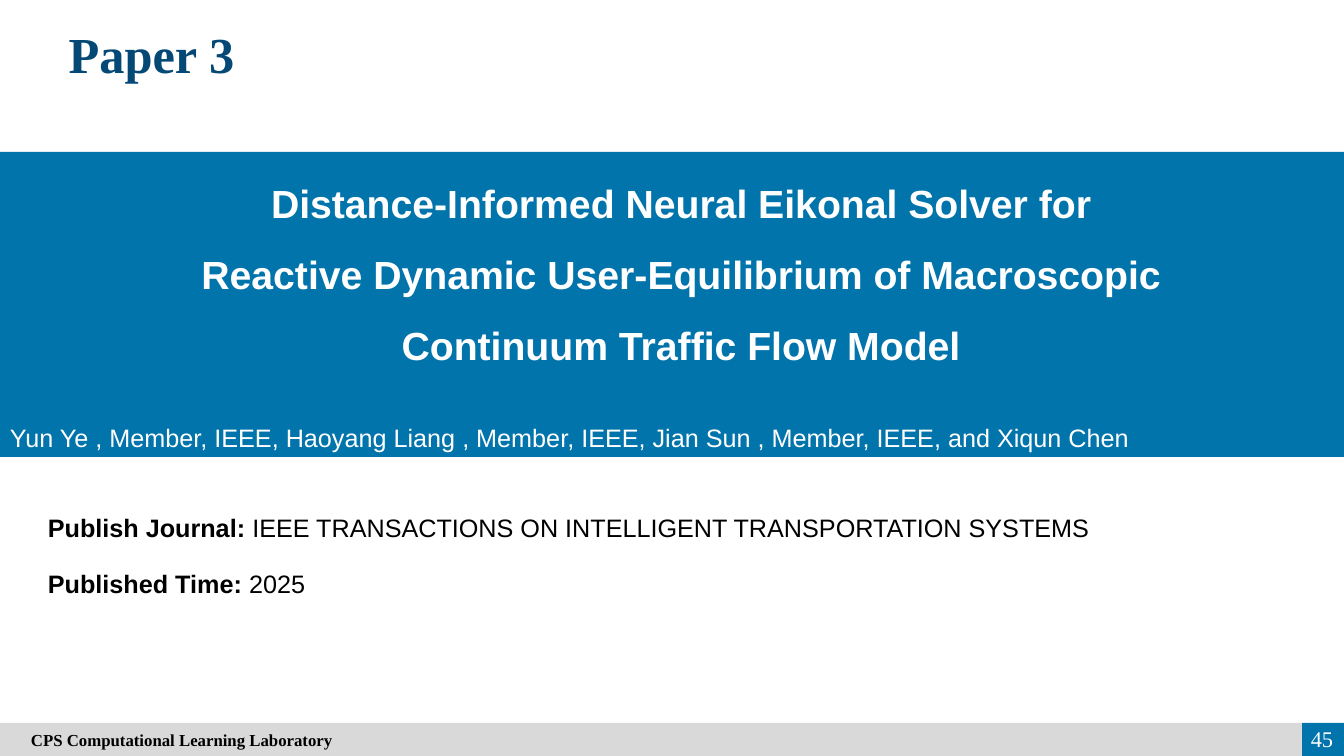
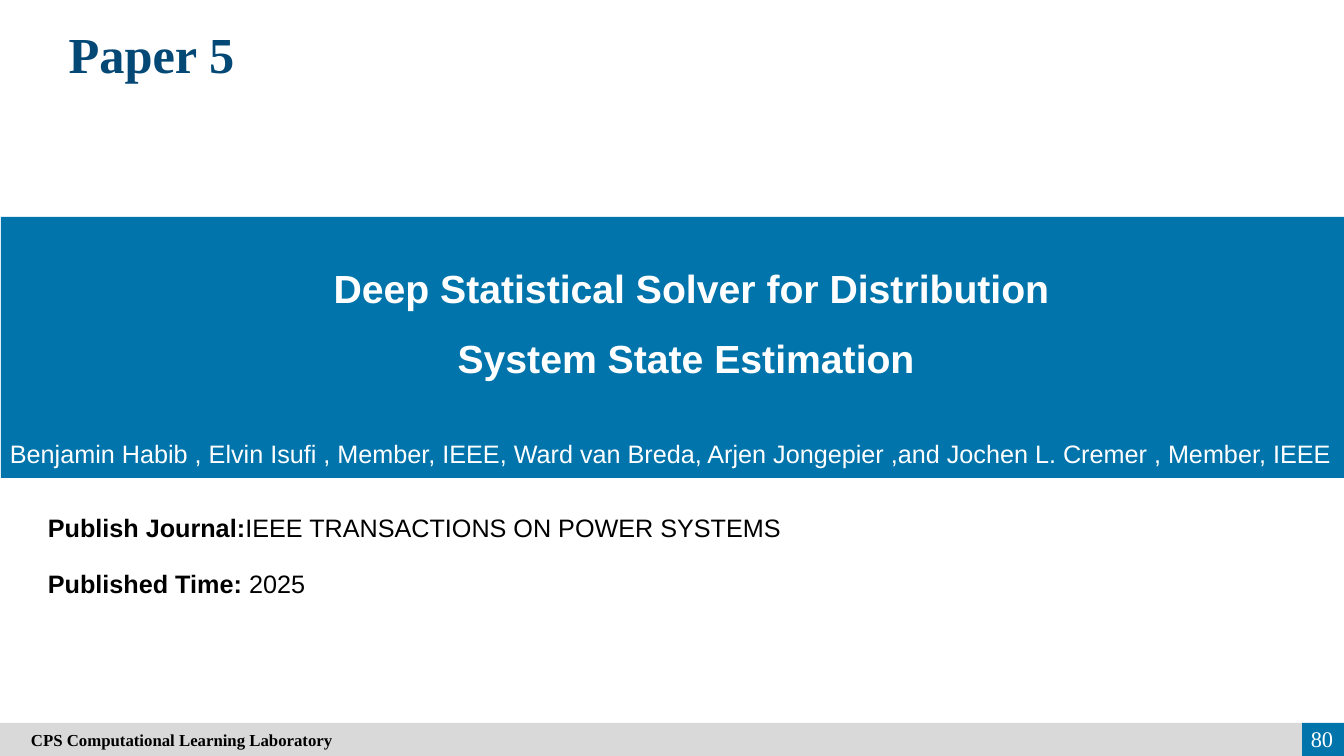
"""Build two paper title slides with a shared heading, band and footer."""
from dataclasses import dataclass

from pptx import Presentation
from pptx.dml.color import RGBColor
from pptx.enum.shapes import MSO_SHAPE
from pptx.enum.text import MSO_ANCHOR, PP_ALIGN
from pptx.util import Pt

WIDTH, HEIGHT = 1344, 756
SCALE = 12192000 / WIDTH


@dataclass(frozen=True)
class Theme:
    blue: RGBColor = RGBColor.from_string("0174AB")
    navy: RGBColor = RGBColor.from_string("044875")
    gray: RGBColor = RGBColor.from_string("D9D9D9")
    white: RGBColor = RGBColor.from_string("FFFFFF")
    black: RGBColor = RGBColor.from_string("000000")
    serif: str = "Times New Roman"
    sans: str = "Arial"
    label_size: int = 36
    heading_size: int = 28
    body_size: int = 18
    number_size: int = 16
    footer_size: int = 12


theme = Theme()


def add_box(page, place, fill=None):
    lengths = [round(value * SCALE) for value in place]
    if fill is None:
        box = page.shapes.add_textbox(*lengths)
    else:
        box = page.shapes.add_shape(MSO_SHAPE.RECTANGLE, *lengths)
        box.shadow.inherit = False
        box.fill.solid()
        box.fill.fore_color.rgb = fill
        box.line.fill.background()
    box.text_frame.word_wrap = True
    return box


def write(box, text, size, color, font, bold=False, align=PP_ALIGN.LEFT,
          anchor=MSO_ANCHOR.TOP, spacing=None):
    frame = box.text_frame
    frame.text = text
    frame.vertical_anchor = anchor
    for para in frame.paragraphs:
        para.alignment = align
        para.line_spacing = spacing
        for span in para.runs:
            span.font.size = Pt(size)
            span.font.name = font
            span.font.bold = bold
            span.font.color.rgb = color


papers = [
    {
        "label": "Paper 3",
        "number": "45",
        "band": (0, 152, WIDTH, 305),
        "heading_place": (8, 150, 1346, 224),
        "heading": "Distance-Informed Neural Eikonal Solver for\n"
                   "Reactive Dynamic User-Equilibrium of Macroscopic\n"
                   "Continuum Traffic Flow Model",
        "authors_top": 417,
        "authors": "Yun Ye , Member, IEEE, Haoyang Liang , Member, IEEE, "
                   "Jian Sun , Member, IEEE, and Xiqun Chen",
        "facts": [
            ("Publish Journal: ",
             "IEEE TRANSACTIONS ON INTELLIGENT TRANSPORTATION SYSTEMS"),
            ("Published Time:", " 2025"),
        ],
    },
    {
        "label": "Paper 5",
        "number": "80",
        "band": (1, 217, WIDTH - 1, 261),
        "heading_place": (82, 235, 1208, 152),
        "heading": " Deep Statistical Solver for Distribution\n"
                   "System State Estimation",
        "authors_top": 433,
        "authors": "Benjamin Habib , Elvin Isufi , Member, IEEE, Ward van Breda, "
                   "Arjen Jongepier ,and Jochen L. Cremer , Member, IEEE",
        "facts": [
            ("Publish Journal:", "IEEE TRANSACTIONS ON POWER SYSTEMS"),
            ("Published Time:", " 2025"),
        ],
    },
]

deck = Presentation()
deck.slide_width = round(WIDTH * SCALE)
deck.slide_height = round(HEIGHT * SCALE)

for paper in papers:
    page = deck.slides.add_slide(deck.slide_layouts[6])

    add_box(page, paper["band"], theme.blue)
    write(add_box(page, paper["heading_place"]), paper["heading"],
          theme.heading_size, theme.white, theme.sans, bold=True,
          align=PP_ALIGN.CENTER, anchor=MSO_ANCHOR.MIDDLE, spacing=1.5)
    write(add_box(page, (38, 18, 227, 72)), paper["label"],
          theme.label_size, theme.navy, theme.serif, bold=True,
          align=PP_ALIGN.CENTER)

    authors = add_box(page, (0, paper["authors_top"], WIDTH, 40))
    authors.text_frame.margin_right = 0
    write(authors, paper["authors"], theme.body_size, theme.white, theme.sans)

    for row, (name, value) in enumerate(paper["facts"]):
        fact = add_box(page, (38, 507 + 56 * row, 1284, 40))
        write(fact, name, theme.body_size, theme.black, theme.sans, bold=True)
        span = fact.text_frame.paragraphs[0].add_run()
        span.text = value
        span.font.size = Pt(theme.body_size)
        span.font.name = theme.sans
        span.font.color.rgb = theme.black

    add_box(page, (1302, 723, 42, 33), theme.blue)
    footer = add_box(page, (0, 723, 1302, 33), theme.gray)
    footer.text_frame.margin_left = round(31 * SCALE)
    write(footer, "CPS Computational Learning Laboratory", theme.footer_size,
          theme.black, theme.serif, bold=True, anchor=MSO_ANCHOR.MIDDLE)
    write(add_box(page, (1279, 719, 64, 40)), paper["number"],
          theme.number_size, theme.white, theme.serif,
          align=PP_ALIGN.RIGHT, anchor=MSO_ANCHOR.MIDDLE)

deck.save("out.pptx")
